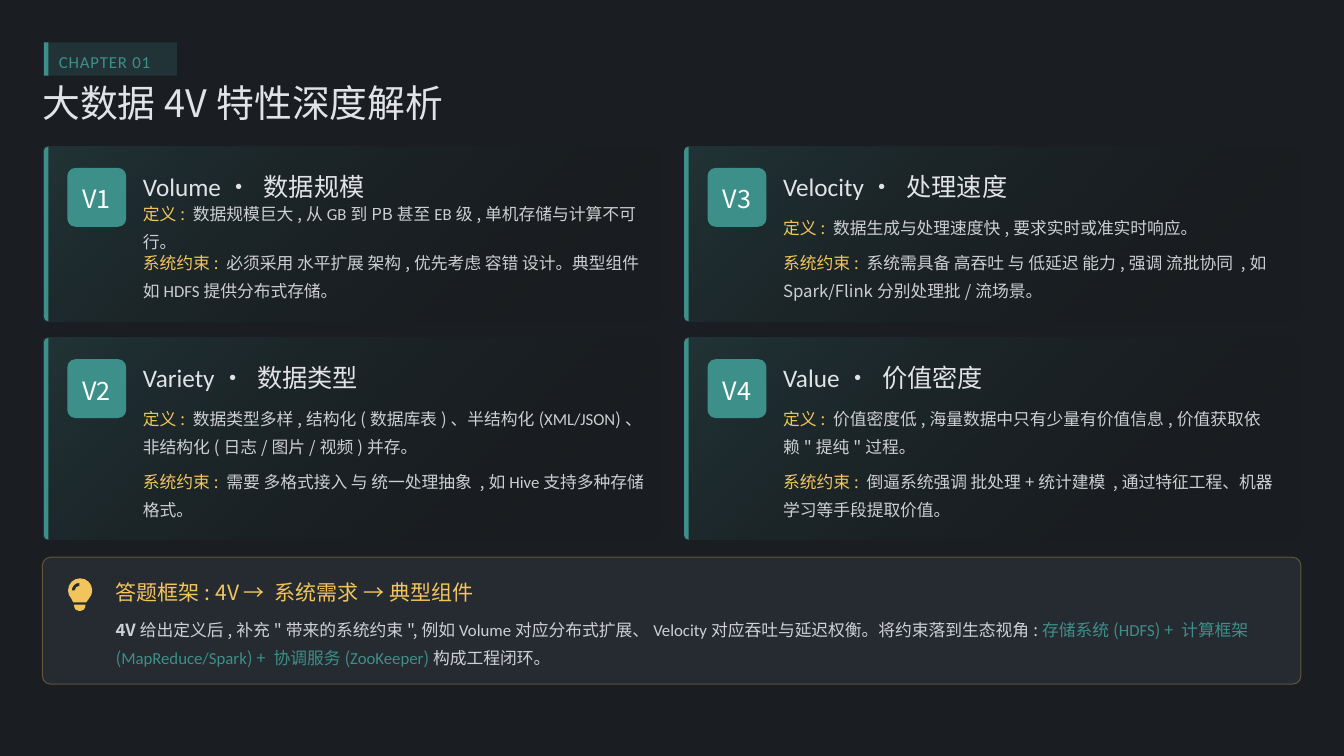
"""Build the slide on the four V traits of big data."""
import math

from lxml import etree
from pptx import Presentation
from pptx import util as u
from pptx.dml.color import RGBColor
from pptx.enum import shapes, text
from pptx.oxml.ns import qn

LATIN, HAN = "Calibri", "Noto Sans CJK SC"
TEAL, GOLD, PALE, WHITE = "3D8F8A", "F2C55C", "E1E3E6", "FFFFFF"
DARK, SLATE = "1A1D21", "5A6472"

COLUMN_LEFT, COLUMN_STEP, CARD_WIDTH = 0.58, 8.47, 8.17
ROWS = [(1.94, 2.31, 0.36), (4.47, 2.67, 0.72)]
CARDS = [
    ("V1", 0, 0, "|Volume| · 数据规模",
     " 数据规模巨大,从|GB|到PB甚至|EB|级,单机存储与计算不可行。",
     " 必须采用 水平扩展 架构,优先考虑 容错 设计。典型组件如|HDFS|提供分布式存储。"),
    ("V2", 0, 1, "|Variety| · 数据类型",
     " 数据类型多样,结构化(数据库表)、半结构化(|XML/JSON|)、非结构化(日志/图片/视频)并存。",
     " 需要 多格式接入 与 统一处理抽象 ,如|Hive|支持多种存储格式。"),
    ("V3", 1, 0, "|Velocity| · 处理速度",
     " 数据生成与处理速度快,要求实时或准实时响应。",
     " 系统需具备 高吞吐 与 低延迟 能力,强调 流批协同 ,如Spark/Flink分别处理批/流场景。"),
    ("V4", 1, 1, "|Value| · 价值密度",
     " 价值密度低,海量数据中只有少量有价值信息,价值获取依赖\"提纯\"过程。",
     " 倒逼系统强调 批处理+统计建模 ,通过特征工程、机器学习等手段提取价值。"),
]


def color(value):
    """Turn a hex string into a colour."""
    return RGBColor.from_string(value)


def fade(element, *opacities):
    """Give the colours inside an element their opacity in percent."""
    for tint, opacity in zip(element.iter(qn("a:srgbClr")), opacities):
        etree.SubElement(tint, qn("a:alpha")).set("val", str(opacity * 1000))


def paint(shape, fill, opacity=100):
    """Fill a shape with one colour and remove its outline and shadow."""
    shape.shadow.inherit = False
    shape.line.fill.background()
    shape.fill.solid()
    shape.fill.fore_color.rgb = color(fill)
    if opacity < 100:
        fade(shape._element.spPr, opacity)


def paint_gradient(shape):
    """Fill a shape with teal that fades out towards the lower right."""
    paint(shape, TEAL)
    shape.fill.gradient()
    shape.fill.gradient_angle = 315
    for stop, value in zip(shape.fill.gradient_stops, (TEAL, "000000")):
        stop.color.rgb = color(value)
    fade(shape._element.spPr, 20, 0)


def add_block(page, left, top, width, height, radius=0):
    """Add a rectangle, with rounded corners if a radius is given."""
    kind = shapes.MSO_SHAPE.ROUNDED_RECTANGLE if radius else shapes.MSO_SHAPE.RECTANGLE
    shape = page.shapes.add_shape(kind, *map(u.Inches, (left, top, width, height)))
    if radius:
        shape.adjustments[0] = radius / min(width, height)
    return shape


def arc(x, y, radius, *angles):
    """List a start point and one curve between each two angles."""
    def polar(angle, shift=0):
        a = math.radians(angle)
        return (x + radius * (math.cos(a) - shift * math.sin(a)),
                y + radius * (math.sin(a) + shift * math.cos(a)))

    segments = [(polar(angles[0]),)]
    if radius:
        for start, end in zip(angles, angles[1:]):
            pull = 4 / 3 * math.tan(math.radians(end - start) / 4)
            segments.append((polar(start, pull), polar(end, -pull), polar(end)))
    return segments


def rounded(left, top, width, height, radii):
    """List the outline of a box with radii from top left clockwise."""
    a, b, c, d = radii
    right, bottom = left + width, top + height
    return (arc(left + a, top + a, a, 180, 270) + arc(right - b, top + b, b, 270, 360)
            + arc(right - c, bottom - c, c, 0, 90) + arc(left + d, bottom - d, d, 90, 180))


def add_outline(page, *contours):
    """Add a freeform of closed contours made of lines and curves."""
    builder = None
    for contour in contours:
        points = [(u.Inches(x), u.Inches(y)) for segment in contour for x, y in segment]
        if builder is None:
            builder = page.shapes.build_freeform(*points[0])
        else:
            builder.move_to(*points[0])
        builder.add_line_segments(points[1:], close=True)
    shape = builder.convert_to_shape()
    lines = iter(list(shape._element.iter(qn("a:lnTo"))))
    for contour in contours:
        for segment in contour[1:]:
            first, *others = [next(lines) for _ in segment]
            if others:
                first.tag = qn("a:cubicBezTo")
            for other in others:
                first.append(other[0])
                other.getparent().remove(other)
    return shape


def write(box, parts, size, spacing, align=text.PP_ALIGN.LEFT):
    """Write (text, colour, opacity) parts; bars enclose Latin type."""
    frame = box.text_frame
    frame.word_wrap = True
    frame.auto_size = text.MSO_AUTO_SIZE.NONE
    frame.vertical_anchor = text.MSO_ANCHOR.MIDDLE
    frame.margin_left = frame.margin_right = frame.margin_top = frame.margin_bottom = 0
    para = frame.paragraphs[0]
    para.alignment, para.line_spacing = align, spacing
    for words, value, opacity in parts:
        for index, piece in enumerate(words.split("|")):
            if not piece:
                continue
            span = para.add_run()
            span.text = piece
            span.font.size = u.Pt(size)
            span.font.color.rgb = color(value)
            span.font.name = LATIN if index % 2 else HAN
            etree.SubElement(span._r.rPr, qn("a:ea")).set("typeface", span.font.name)
            if opacity < 100:
                fade(span._r.rPr, opacity)
    return para


def add_text(page, left, top, width, height, parts, size, spacing, **options):
    """Add a text box and write parts into it."""
    box = page.shapes.add_textbox(*map(u.Inches, (left, top, width, height)))
    return write(box, parts, size, spacing, **options)


def add_heading(page):
    """Add the chapter tag and the slide title."""
    paint(add_block(page, 0.58, 0.56, 1.76, 0.44), TEAL, 20)
    paint(add_block(page, 0.58, 0.56, 0.06, 0.44), TEAL)
    tag = add_text(page, 0.78, 0.63, 1.51, 0.29, [("|CHAPTER 01|", TEAL, 100)], 16, 1.3)
    tag.runs[0]._r.rPr.set("spc", "80")
    title = page.shapes.title
    title.left, title.top = u.Inches(0.56), u.Inches(1.11)
    title.width, title.height = u.Inches(16.92), u.Inches(0.56)
    write(title, [("大数据4V特性深度解析", PALE, 100)], 36, 0.9)


def add_card(page, label, column, row, name, definition, constraint):
    """Add one trait card with its badge, name and two passages."""
    left = COLUMN_LEFT + COLUMN_STEP * column
    top, height, definition_height = ROWS[row]
    paint_gradient(add_outline(
        page, rounded(left, top, CARD_WIDTH, height, (0.06, 0.11, 0.11, 0.06))))
    paint(add_outline(page, rounded(left, top, 0.06, height, (0.06, 0, 0, 0.06))), TEAL)
    paint(add_block(page, left + 0.31, top + 0.28, 0.78, 0.78, 0.11), TEAL)
    add_text(page, left + 0.23, top + 0.28, 0.94, 0.78, [(label, WHITE, 100)], 24, 1.1,
             align=text.PP_ALIGN.CENTER)
    text_left, definition_top = left + 1.31, top + 0.84
    add_text(page, text_left, top + 0.28, 6.75, 0.44, [(name, PALE, 100)], 24, 1.1)
    add_text(page, text_left, definition_top, 6.69, definition_height,
             [("定义:", GOLD, 100), (definition, PALE, 90)], 16, 1.4)
    add_text(page, text_left, definition_top + definition_height + 0.11, 6.69, 0.72,
             [("系统约束:", GOLD, 100), (constraint, PALE, 90)], 16, 1.4)


def add_bulb(page):
    """Add the light bulb icon."""
    glass = arc(1.06, 7.81, 0.16, 135, 180, 270, 360, 405) + [((1.14, 7.97),), ((0.97, 7.97),)]
    base = rounded(0.98, 8, 0.15, 0.08, (0, 0, 0.06, 0.06))
    glint = arc(1.05, 7.81, 0.1, 180, 270) + arc(1.05, 7.81, 0.06, 270, 180)
    paint(add_outline(page, glass, base, glint), GOLD)


def add_summary(page):
    """Add the framed answer pattern at the foot."""
    panel = add_block(page, 0.56, 7.37, 16.65, 1.68, 0.11)
    paint(panel, SLATE, 20)
    panel.line.color.rgb = color(GOLD)
    panel.line.width = u.Pt(1)
    fade(panel._element.spPr.find(qn("a:ln")), 30)
    add_bulb(page)
    add_text(page, 1.53, 7.6, 15.6, 0.39,
             [("答题框架: 4V → 系统需求 → 典型组件", GOLD, 100)], 20, 1.2)
    para = add_text(page, 1.53, 8.1, 15.57, 0.72, [
        ("4V", PALE, 90),
        ("给出定义后,补充\"带来的系统约束\",例如|Volume|对应分布式扩展、"
         "|Velocity|对应吞吐与延迟权衡。将约束落到生态视角:", PALE, 90),
        ("存储系统(|HDFS|) + 计算框架(|MapReduce/Spark|) + 协调服务(|ZooKeeper|)", TEAL, 100),
        ("构成工程闭环。", PALE, 90)], 16, 1.4)
    para.runs[0].font.bold = True


def main():
    """Build and save the deck."""
    deck = Presentation()
    deck.slide_width, deck.slide_height = u.Inches(17.78), u.Inches(10)
    page = deck.slides.add_slide(deck.slide_layouts.get_by_name("Title Only"))
    page.background.fill.solid()
    page.background.fill.fore_color.rgb = color(DARK)
    add_heading(page)
    for card in CARDS:
        add_card(page, *card)
    add_summary(page)
    deck.save("out.pptx")


if __name__ == "__main__":
    main()
